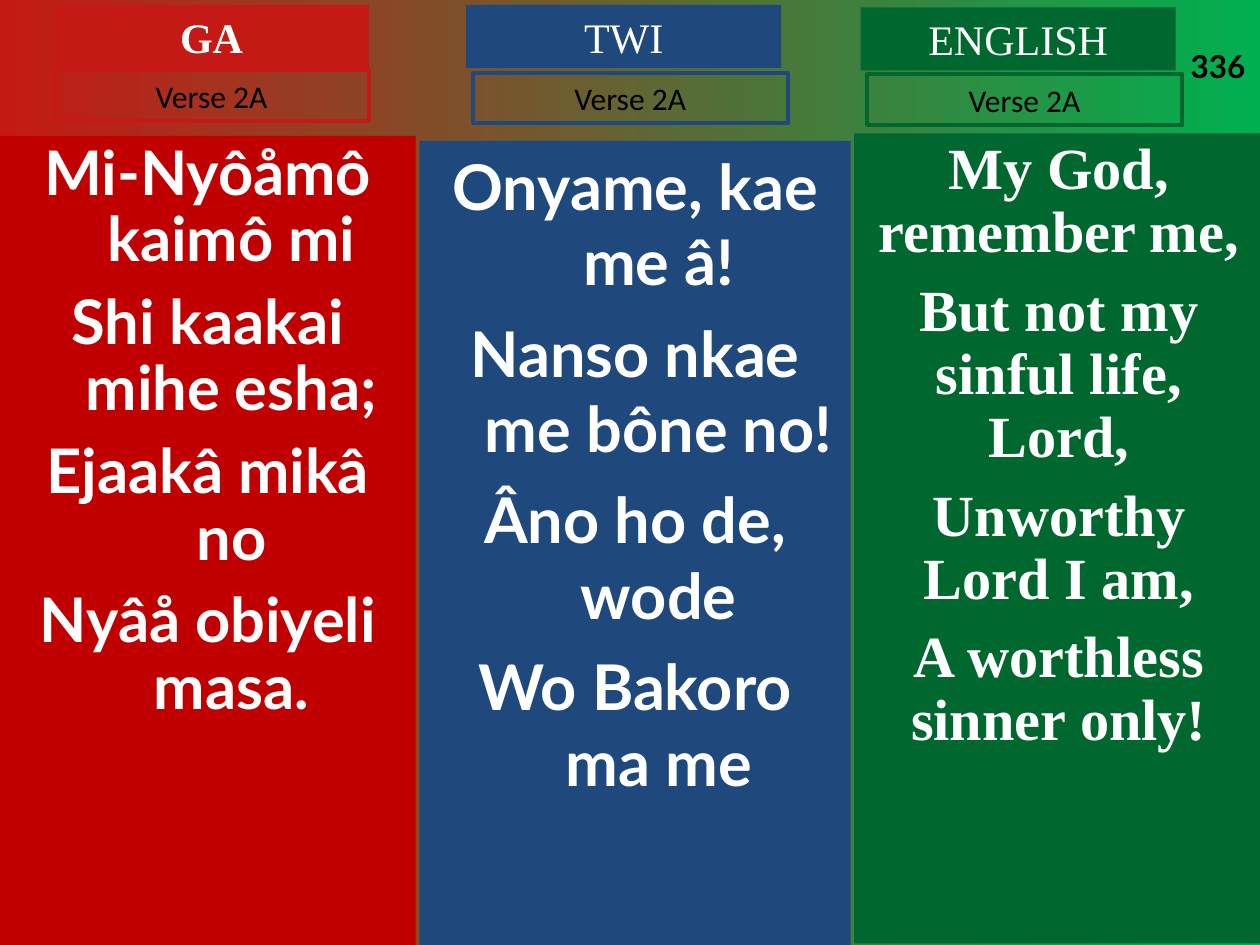
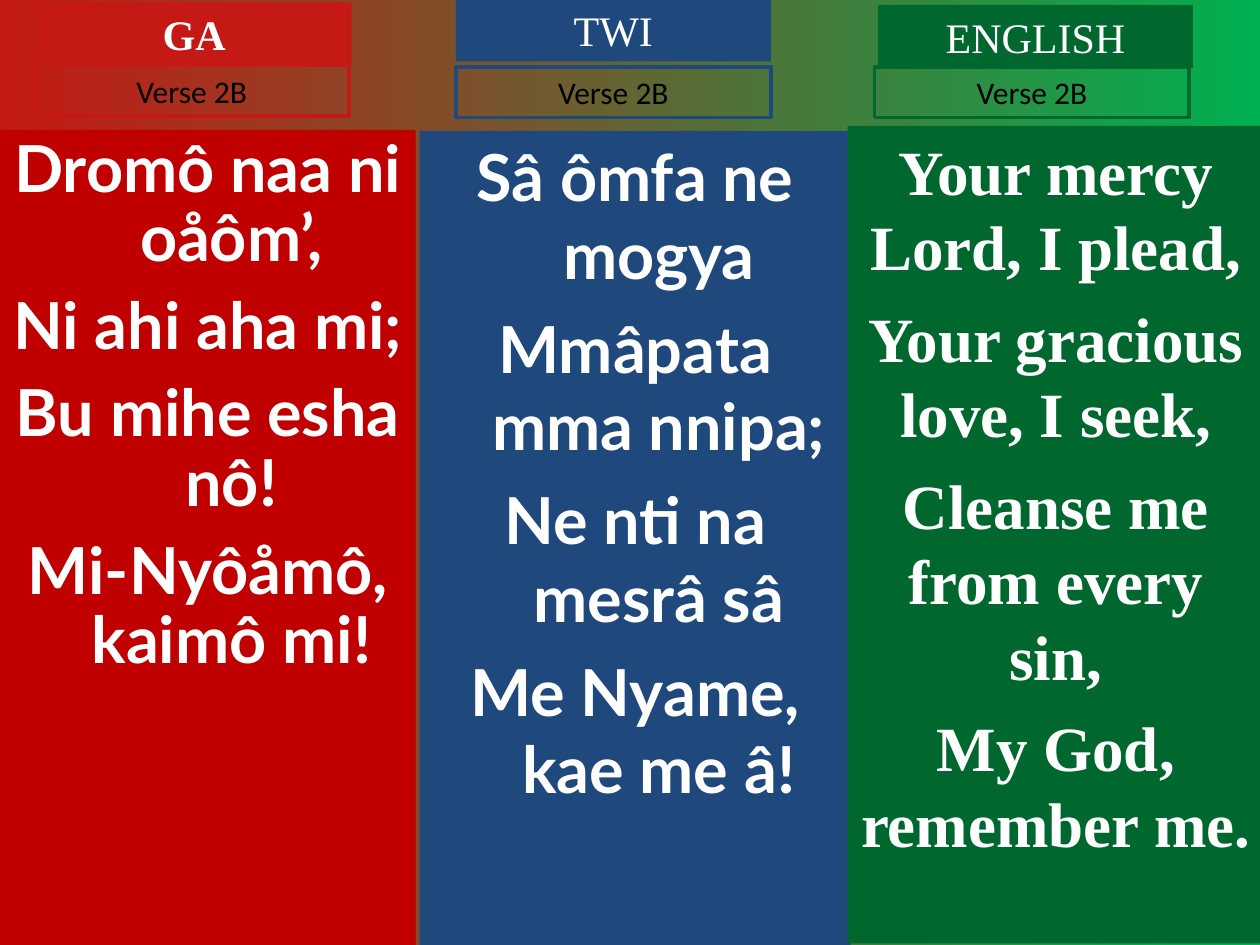
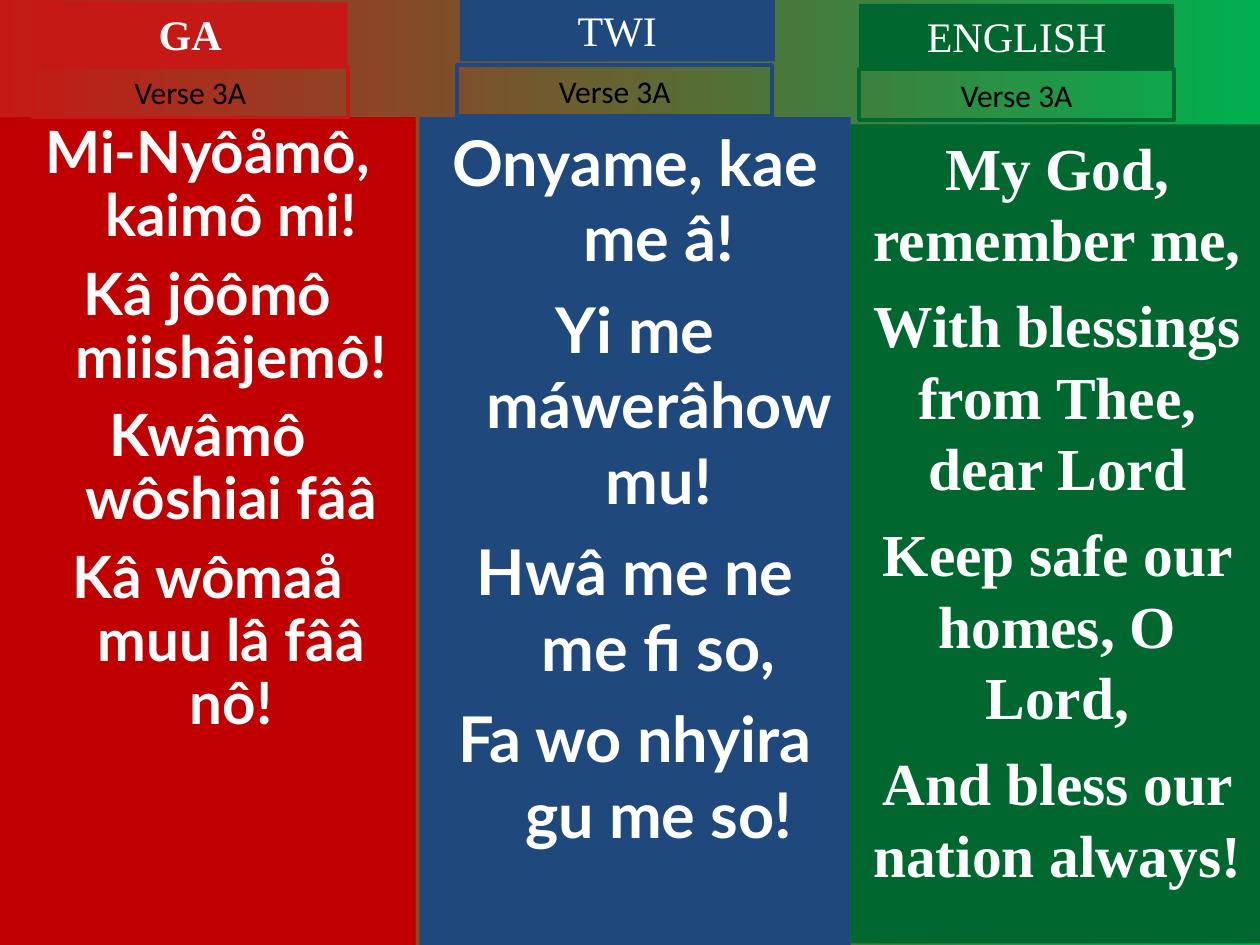
"""Build three hymn slides with Ga, Twi and English verses side by side."""
from dataclasses import dataclass
from typing import NamedTuple

from pptx import Presentation
from pptx.dml.color import RGBColor
from pptx.enum.shapes import MSO_SHAPE
from pptx.enum.text import MSO_ANCHOR, PP_ALIGN
from pptx.util import Cm, Pt


@dataclass(frozen=True)
class Theme:
    """Colours, fonts, type sizes and shared lengths in centimetres."""
    backdrop: tuple[str, str] = ("C51915", "00B050")
    white: str = "FFFFFF"
    black: str = "000000"
    serif: str = "Times New Roman"
    sans: str = "Lato"
    plain: str = "Calibri"
    label_pt: float = 24
    verse_pt: float = 18
    outline_pt: float = 2.25
    tab_width: float = 6.35
    label_height: float = 1.27
    verse_height: float = 1.02
    hang: float = 0.95


class Language(NamedTuple):
    """Fixed look of one language column."""
    name: str
    panel: str
    accent: str
    font: str
    right: float
    bottom: float
    hanging: bool
    bold_label: bool


class Stanza(NamedTuple):
    """Text and placement of one column on one slide."""
    label: tuple[float, float]
    verse: tuple[float, float]
    panel: tuple[float, float]
    size: float
    before: float
    spacing: float
    lines: tuple[str, ...]


class Style(NamedTuple):
    """Type settings of one box."""
    font: str
    size: float
    color: str
    bold: bool = False
    before: float = 0
    spacing: float = 1.0
    hanging: bool = False
    align: PP_ALIGN = PP_ALIGN.CENTER
    anchor: MSO_ANCHOR = MSO_ANCHOR.MIDDLE


class Box(NamedTuple):
    """Left, top, width and height in centimetres."""
    left: float
    top: float
    width: float
    height: float


T = Theme()

LANGUAGES = (
    Language("GA", "C00000", "C51915", T.sans, 8.38, 19.05, True, True),
    Language("TWI", "1F497D", "1F497D", T.sans, 17.15, 19.05, True, False),
    Language("ENGLISH", "00682F", "00682F", T.serif, 25.48, 19.02, False, False),
)

HYMN_NUMBER = "336"

VERSES = {
    "Verse 2A": (
        Stanza((1.09, 0.1), (1.09, 1.42), (0, 2.74), 35.1, 9.5, 0.9,
               ("Mi-Nyôåmô kaimô mi", "Shi kaakai mihe esha;",
                "Ejaakâ mikâ no", "Nyâå obiyeli masa.")),
        Stanza((9.4, 0.1), (9.53, 1.47), (8.46, 2.84), 36, 9, 1.0,
               ("Onyame, kae me â!", "Nanso nkae me bône no!",
                "Âno ho de, wode", "Wo Bakoro ma me")),
        Stanza((17.35, 0.15), (17.48, 1.5), (17.22, 2.69), 33.3, 9, 0.9,
               ("My God, remember me,", "But not my sinful life, Lord,",
                "Unworthy Lord I am,", "A worthless sinner only!")),
    ),
    "Verse 2B": (
        Stanza((0.74, 0.05), (0.69, 1.32), (0, 2.62), 37, 10, 0.9,
               ("Dromô naa ni oåôm’,", "Ni ahi aha mi;",
                "Bu mihe esha nô!", "Mi-Nyôåmô, kaimô mi!")),
        Stanza((9.19, -0.03), (9.19, 1.35), (8.46, 2.64), 37, 9.2, 1.0,
               ("Sâ ômfa ne mogya", "Mmâpata mma nnipa;",
                "Ne nti na mesrâ sâ", "Me Nyame, kae me â!")),
        Stanza((17.7, 0.1), (17.63, 1.35), (17.09, 2.54), 36, 9, 1.0,
               ("Your mercy Lord, I plead,", "Your gracious love, I seek,",
                "Cleanse me from every sin,", "My God, remember me.")),
    ),
    "Verse 3A": (
        Stanza((0.66, 0.05), (0.66, 1.35), (0, 2.36), 33.3, 9, 0.9,
               ("Mi-Nyôåmô, kaimô mi!", "Kâ jôômô miishâjemô!",
                "Kwâmô wôshiai fââ", "Kâ wômaå muu lâ fââ nô!")),
        Stanza((9.27, -0.03), (9.22, 1.32), (8.46, 2.36), 36, 9, 1.0,
               ("Onyame, kae me â!", "Yi me máwerâhow mu!",
                "Hwâ me ne me fi so,", "Fa wo nhyira gu me so!")),
        Stanza((17.32, 0.08), (17.32, 1.4), (17.15, 2.51), 34, 8.5, 1.0,
               ("My God, remember me,", "With blessings from Thee, dear Lord",
                "Keep safe our homes, O Lord,", "And bless our nation always!")),
    ),
}


def write(tf, lines: tuple[str, ...], style: Style) -> None:
    """Fill a text frame with one paragraph per line."""
    tf.word_wrap = True
    tf.vertical_anchor = style.anchor
    for i, line in enumerate(lines):
        p = tf.add_paragraph() if i else tf.paragraphs[0]
        p.alignment = style.align
        p.line_spacing = style.spacing
        p.space_before = Pt(style.before if i else 0)
        if style.hanging:
            pPr = p._p.get_or_add_pPr()
            pPr.set("marL", str(Cm(T.hang)))
            pPr.set("indent", str(-Cm(T.hang)))
        r = p.add_run()
        r.text = line
        r.font.name = style.font
        r.font.size = Pt(style.size)
        r.font.bold = style.bold
        r.font.color.rgb = RGBColor.from_string(style.color)


def add_box(s, box: Box, lines: tuple[str, ...], style: Style,
            fill: str = "", outline: str = "") -> None:
    """Draw a rectangle with an optional fill and outline around its text."""
    sp = s.shapes.add_shape(MSO_SHAPE.RECTANGLE, *map(Cm, box))
    sp.shadow.inherit = False
    if fill:
        sp.fill.solid()
        sp.fill.fore_color.rgb = RGBColor.from_string(fill)
    else:
        sp.fill.background()
    if outline:
        sp.line.color.rgb = RGBColor.from_string(outline)
        sp.line.width = Pt(T.outline_pt)
    else:
        sp.line.fill.background()
    write(sp.text_frame, lines, style)


def add_column(s, lang: Language, verse: str, st: Stanza) -> None:
    """Draw one language column: panel, language label and verse tag."""
    left, top = st.panel
    add_box(s, Box(left, top, lang.right - left, lang.bottom - top), st.lines,
            Style(lang.font, st.size, T.white, True, st.before, st.spacing,
                  lang.hanging, anchor=MSO_ANCHOR.TOP), fill=lang.panel)
    add_box(s, Box(*st.label, T.tab_width, T.label_height), (lang.name,),
            Style(T.serif, T.label_pt, T.white, lang.bold_label), fill=lang.accent)
    add_box(s, Box(*st.verse, T.tab_width, T.verse_height), (verse,),
            Style(T.plain, T.verse_pt, T.black), outline=lang.accent)


def add_hymn_number(s) -> None:
    """Write the hymn number in the top right corner."""
    tb = s.shapes.add_textbox(*map(Cm, Box(23.75, 0.05, 1.7, 1.78)))
    write(tb.text_frame, (HYMN_NUMBER,),
          Style(T.sans, T.verse_pt, T.black, True,
                align=PP_ALIGN.LEFT, anchor=MSO_ANCHOR.BOTTOM))


def set_backdrop(master) -> None:
    """Give the slide master a left-to-right gradient."""
    fill = master.background.fill
    fill.gradient()
    fill.gradient_angle = 0
    for stop, color in zip(fill.gradient_stops, T.backdrop):
        stop.color.rgb = RGBColor.from_string(color)


def main() -> None:
    """Build and save the slides."""
    prs = Presentation()
    prs.slide_width, prs.slide_height = Cm(25.4), Cm(19.05)
    set_backdrop(prs.slide_master)
    for i, (verse, stanzas) in enumerate(VERSES.items()):
        s = prs.slides.add_slide(prs.slide_layouts[6])
        for lang, stanza in zip(LANGUAGES, stanzas):
            add_column(s, lang, verse, stanza)
        if i == 0:
            add_hymn_number(s)
    prs.save("out.pptx")


if __name__ == "__main__":
    main()
